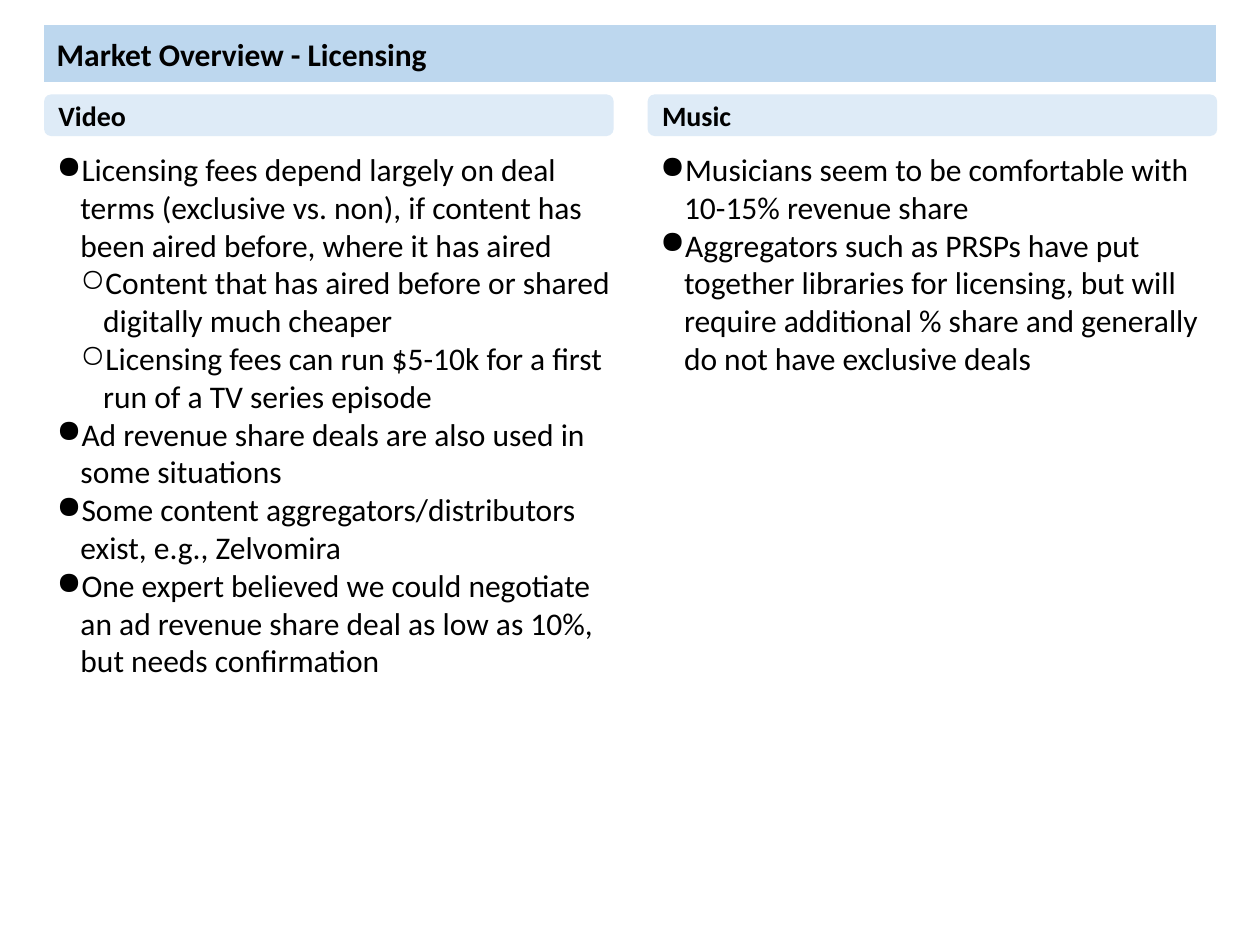
from lxml.etree import SubElement
from pptx import Presentation
from pptx.dml.color import RGBColor
from pptx.enum.shapes import MSO_SHAPE
from pptx.enum.text import MSO_ANCHOR, MSO_AUTO_SIZE, PP_ALIGN
from pptx.oxml.ns import qn
from pptx.util import Inches, Pt

BLACK = RGBColor(0x00, 0x00, 0x00)
TITLE_BLUE = RGBColor(0xBD, 0xD7, 0xEE)
HEADING_BLUE = RGBColor(0xDE, 0xEB, 0xF7)
FONT = "Calibri"

# Bullet character, left margin and hanging indent for each level
BULLETS = [("●", 0.19, 0.19), ("○", 0.37, 0.18)]

TOP = 0.75
HEADING_HEIGHT = 0.33
BODY_TOP = 1.09
BODY_HEIGHT = 3.94

COLUMNS = [
    (0.35, "Video", [
        (0, "Licensing fees depend largely on deal terms (exclusive vs. non), "
            "if content has been aired before, where it has aired"),
        (1, "Content that has aired before or shared digitally much cheaper"),
        (1, "Licensing fees can run $5-10k for a first run of a TV series episode"),
        (0, "Ad revenue share deals are also used in some situations"),
        (0, "Some content aggregators/distributors exist, e.g., Zelvomira"),
        (0, "One expert believed we could negotiate an ad revenue share deal "
            "as low as 10%, but needs confirmation"),
    ]),
    (5.14, "Music", [
        (0, "Musicians seem to be comfortable with 10-15% revenue share"),
        (0, "Aggregators such as PRSPs have put together libraries for licensing, "
            "but will require additional % share and generally do not have "
            "exclusive deals"),
    ]),
]


def write(para, text, size=18, bold=False, level=None):
    """Fill a paragraph with formatted text, bulleted when a level is given."""
    para.alignment = PP_ALIGN.LEFT
    if level is not None:
        char, margin, hang = BULLETS[level]
        para.level = level
        properties = para._p.get_or_add_pPr()
        properties.set("marL", str(Inches(margin)))
        properties.set("indent", str(-Inches(hang)))
        SubElement(properties, qn("a:buChar"), char=char)
    span = para.add_run()
    span.text = text
    span.font.name = FONT
    span.font.size = Pt(size)
    span.font.bold = bold
    span.font.color.rgb = BLACK


def style_bar(bar, text, color, size):
    """Give a bar its plain fill and one bold, vertically centred line."""
    bar.fill.solid()
    bar.fill.fore_color.rgb = color
    bar.line.fill.background()
    frame = bar.text_frame
    frame.word_wrap = True
    frame.auto_size = MSO_AUTO_SIZE.NONE
    frame.vertical_anchor = MSO_ANCHOR.MIDDLE
    write(frame.paragraphs[0], text, size=size, bold=True)


def place_title(page, left, top, width, height, text):
    title = page.shapes.title
    title.left, title.top = Inches(left), Inches(top)
    title.width, title.height = Inches(width), Inches(height)
    # Rounded outline for the placeholder
    outline = SubElement(title._element.spPr, qn("a:prstGeom"), prst="roundRect")
    SubElement(outline, qn("a:avLst"))
    style_bar(title, text, TITLE_BLUE, 18)


def add_column(page, left, heading, points):
    # Heading bar
    bar = page.shapes.add_shape(
        MSO_SHAPE.ROUNDED_RECTANGLE, Inches(left), Inches(TOP),
        Inches(4.52), Inches(HEADING_HEIGHT))
    bar.shadow.inherit = False
    style_bar(bar, heading, HEADING_BLUE, 16)

    # Bulleted points
    box = page.shapes.add_textbox(
        Inches(left), Inches(BODY_TOP), Inches(4.65), Inches(BODY_HEIGHT))
    frame = box.text_frame
    frame.word_wrap = True
    frame.margin_left = frame.margin_right = Inches(0.1)
    frame.margin_top = frame.margin_bottom = Inches(0.1)
    for index, (level, text) in enumerate(points):
        para = frame.add_paragraph() if index else frame.paragraphs[0]
        write(para, text, level=level)


def main():
    deck = Presentation()
    deck.slide_width, deck.slide_height = Inches(10), Inches(7.5)
    page = deck.slides.add_slide(deck.slide_layouts.get_by_name("Title Only"))
    place_title(page, 0.35, 0.2, 9.3, 0.45, "Market Overview - Licensing")
    for left, heading, points in COLUMNS:
        add_column(page, left, heading, points)
    deck.save("out.pptx")


if __name__ == "__main__":
    main()
